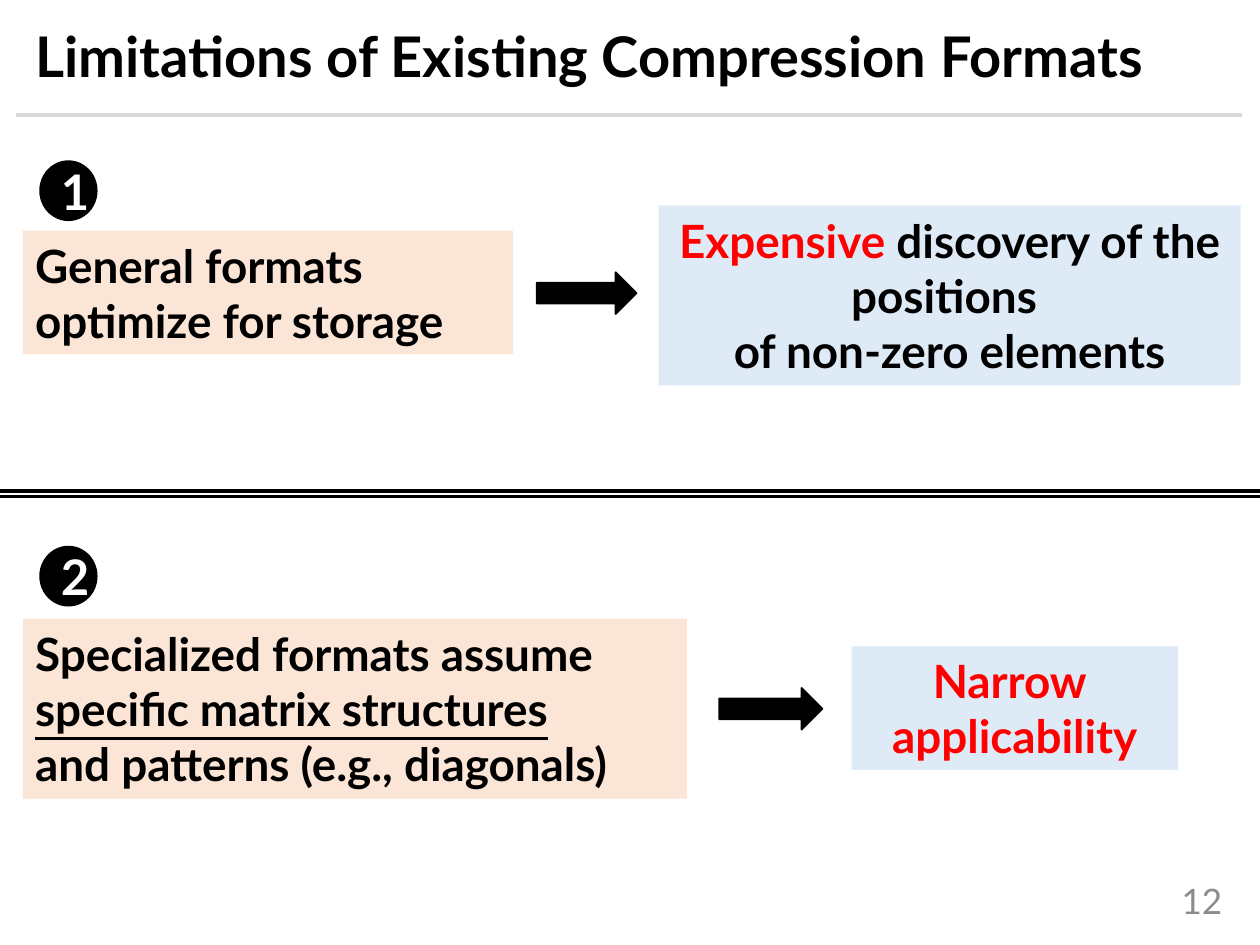
from dataclasses import dataclass

from lxml import etree
from pptx import Presentation
from pptx.dml.color import RGBColor
from pptx.enum.shapes import MSO_CONNECTOR, MSO_SHAPE
from pptx.enum.text import MSO_ANCHOR, PP_ALIGN
from pptx.oxml.ns import qn
from pptx.util import Cm, Pt

RECTANGLE, OVAL, ARROW = MSO_SHAPE.RECTANGLE, MSO_SHAPE.OVAL, MSO_SHAPE.RIGHT_ARROW
STRAIGHT = MSO_CONNECTOR.STRAIGHT
LEFT, CENTER, RIGHT = PP_ALIGN.LEFT, PP_ALIGN.CENTER, PP_ALIGN.RIGHT
MIDDLE = MSO_ANCHOR.MIDDLE

FONT = "Lato"
COLORS = {
    "text": "000000",
    "inverse": "FFFFFF",
    "alert": "FF0000",
    "format": "FBE5D6",
    "drawback": "DEEBF7",
    "rule": "D9D9D9",
    "page": "8C8C8C",
}


@dataclass
class Span:
    text: str
    color: str = "text"
    size: float = 26.2
    bold: bool = True
    underline: bool = False


@dataclass
class Box:
    left: float
    top: float
    width: float
    height: float


@dataclass
class Limitation:
    number: str
    badge_top: float
    format_box: Box
    format_lines: list[list[Span]]
    arrow_box: Box
    drawback_box: Box
    drawback_lines: list[list[Span]]


LIMITATIONS = [
    Limitation(
        "1", 3.25,
        Box(0.46, 4.65, 9.88, 2.49),
        [[Span("General formats optimize for storage")]],
        Box(10.82, 5.49, 2.01, 0.84),
        Box(13.28, 4.14, 11.73, 3.63),
        [
            [Span("Expensive", "alert"), Span(" discovery of the positions ")],
            [Span("of non-zero elements")],
        ],
    ),
    Limitation(
        "2", 11.02,
        Box(0.46, 12.47, 13.39, 3.63),
        [
            [Span("Specialized formats assume")],
            [Span("specific matrix structures", underline=True), Span(" ")],
            [Span("and patterns (e.g., diagonals)")],
        ],
        Box(14.5, 13.87, 2.08, 0.84),
        Box(17.17, 13.03, 6.58, 2.49),
        [[Span("Narrow ", "alert")], [Span("applicability", "alert")]],
    ),
]


def rgb(name: str) -> RGBColor:
    return RGBColor.from_string(COLORS[name])


def place(shape, box: Box) -> None:
    shape.left, shape.top = Cm(box.left), Cm(box.top)
    shape.width, shape.height = Cm(box.width), Cm(box.height)


def write(shape, lines: list[list[Span]], align: PP_ALIGN) -> None:
    frame = shape.text_frame
    frame.word_wrap = True
    frame.vertical_anchor = MIDDLE
    for index, spans in enumerate(lines):
        paragraph = frame.add_paragraph() if index else frame.paragraphs[0]
        paragraph.alignment = align
        for span in spans:
            run = paragraph.add_run()
            run.text = span.text
            font = run.font
            font.name, font.size = FONT, Pt(span.size)
            font.bold, font.underline = span.bold, span.underline
            font.color.rgb = rgb(span.color)


def add_block(slide, kind: MSO_SHAPE, box: Box, fill: str, outlined: bool = False):
    block = slide.shapes.add_shape(
        kind, Cm(box.left), Cm(box.top), Cm(box.width), Cm(box.height)
    )
    block.shadow.inherit = False
    block.fill.solid()
    block.fill.fore_color.rgb = rgb(fill)
    if outlined:
        block.line.color.rgb = rgb(fill)
        block.line.width = Pt(1)
    else:
        block.line.fill.background()
    return block


def add_rule(slide, left: float, right: float, top: float, color: str, weight: float) -> None:
    rule = slide.shapes.add_connector(STRAIGHT, Cm(left), Cm(top), Cm(right), Cm(top))
    rule.line.color.rgb = rgb(color)
    rule.line.width = Pt(weight)
    etree.SubElement(rule._element.spPr, qn("a:effectLst"))


def add_limitation(slide, item: Limitation) -> None:
    format_block = add_block(slide, RECTANGLE, item.format_box, "format")
    write(format_block, item.format_lines, LEFT)
    add_block(slide, ARROW, item.arrow_box, "text", outlined=True)
    drawback_block = add_block(slide, RECTANGLE, item.drawback_box, "drawback")
    write(drawback_block, item.drawback_lines, CENTER)
    badge = add_block(slide, OVAL, Box(0.81, item.badge_top, 1.14, 1.19), "text", outlined=True)
    write(badge, [[Span(item.number, "inverse", 28)]], CENTER)


def main() -> None:
    deck = Presentation()
    deck.slide_width, deck.slide_height = Cm(25.4), Cm(19.05)
    slide = deck.slides.add_slide(deck.slide_layouts[5])

    title = slide.shapes.title
    place(title, Box(0.46, 0.36, 24.71, 1.68))
    write(title, [[Span("Limitations of Existing Compression Formats", size=32)]], LEFT)
    title.text_frame.paragraphs[0].line_spacing = 0.9
    add_rule(slide, 0.33, 25.04, 2.31, "rule", 2.25)

    for item in LIMITATIONS:
        add_limitation(slide, item)
    for divider_top in (9.9, 10.01):
        add_rule(slide, 0, 25.4, divider_top, "text", 2)

    page_number = slide.shapes.add_textbox(Cm(22.15), Cm(17.65), Cm(2.74), Cm(1.02))
    write(page_number, [[Span("12", "page", 20, bold=False)]], RIGHT)

    deck.save("out.pptx")


if __name__ == "__main__":
    main()
